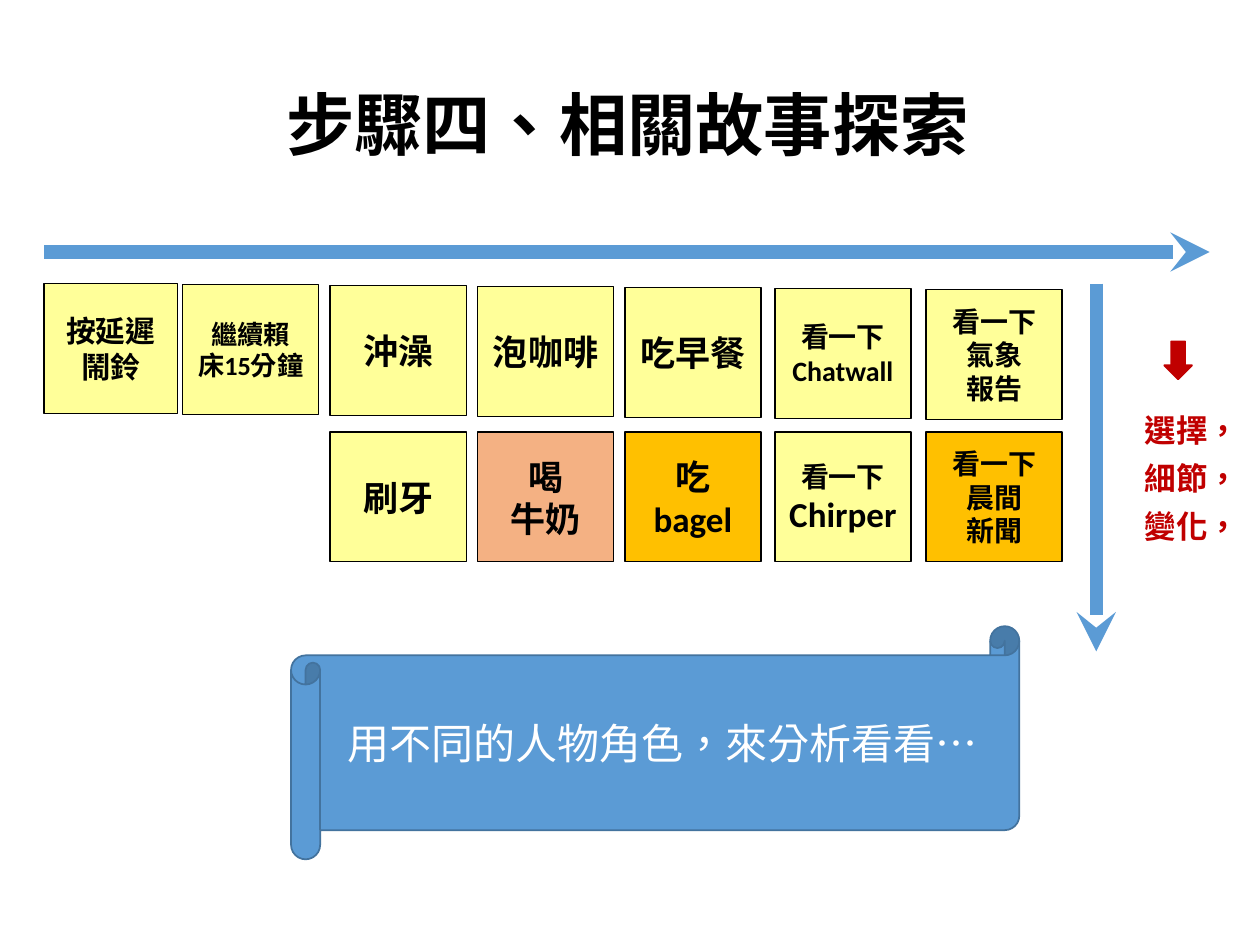
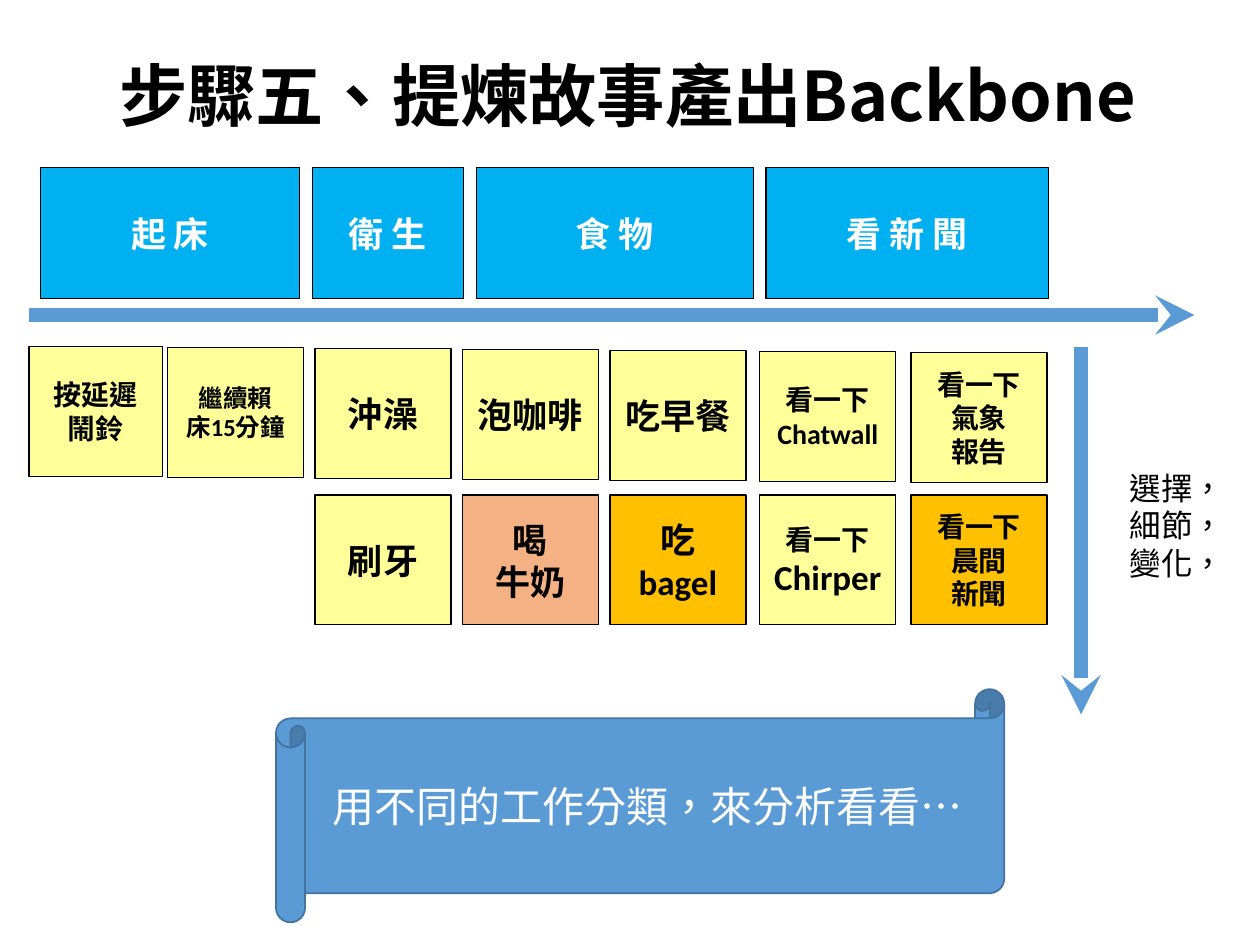
import pptx
import pptx.dml.color
import pptx.enum.lang
import pptx.enum.shapes
import pptx.enum.text
import pptx.oxml.ns
import pptx.util
from lxml import etree

SHAPE = pptx.enum.shapes.MSO_SHAPE
ANCHOR = pptx.enum.text.MSO_ANCHOR
CENTER = pptx.enum.text.PP_ALIGN.CENTER
TAIWAN = pptx.enum.lang.MSO_LANGUAGE_ID.TRADITIONAL_CHINESE

COLORS = {
    "ink": "000000",
    "white": "FFFFFF",
    "note": "FFFF99",
    "orange": "FFC000",
    "salmon": "F4B183",
    "category": "00B0F0",
    "blue": "5B9BD5",
    "blue edge": "43739E",
    "red": "C00000",
}
LATIN, CHINESE = "Calibri", "Noto Sans CJK SC"

# The slide is a grid of 100 columns by 75 rows; all lengths below count them.
COLUMNS, ROWS = 100, 75
CELL = pptx.util.Inches(0.1)

NOTE_LEFTS = [0, 11, 22.7, 34.4, 46.1, 58, 70]
NOTE_HEIGHT = 10.3
FIRST_ROW, SECOND_ROW = 2.5, 14.3
ROW_DRIFT = 0.08  # each note of the first row hangs a little lower

# Lines are split at line ends, and "|" parts pieces that differ in size.
FIRST_NOTES = [
    ("沖澡", [20]),
    ("泡咖啡", [20]),
    ("吃早餐", [20]),
    ("看一下Chatwall", [16]),
    ("看一下氣象\n報告", [16]),
]
SECOND_NOTES = [
    ("刷牙", [20], "note"),
    ("喝\n牛奶", [20], "salmon"),
    ("吃 bagel", [20], "orange"),
    ("看一下|Chirper", [16, 20], "note"),
    ("看一下\n晨間\n新聞", [16], "orange"),
]
CATEGORIES = [("起 床", 20.6), ("衛 生", 12), ("食 物", 22), ("看 新 聞", 22.4)]
ASPECTS = "選擇，\n細節，\n變化，"


def rgb(name):
    return pptx.dml.color.RGBColor.from_string(COLORS[name])


def cells(*counts):
    return [round(count * CELL) for count in counts]


def write(frame, text, sizes, color="ink", bold=True, face=LATIN, gap=0):
    """Fill a text frame with centred lines; gap is the space between them."""
    for index, line in enumerate(text.split("\n")):
        para = frame.paragraphs[0] if index == 0 else frame.add_paragraph()
        para.alignment = CENTER
        if index and gap:
            para.space_before = pptx.util.Pt(gap)
        if face == CHINESE:
            para.line_spacing = pptx.util.Pt(1.2 * sizes[0])
        for piece, size in zip(line.split("|"), sizes):
            span = para.add_run()
            span.text = piece
            style = {"size": pptx.util.Pt(size), "bold": bold,
                     "name": face, "language_id": TAIWAN}
            for key, value in style.items():
                setattr(span.font, key, value)
            span.font.color.rgb = rgb(color)
            if face == CHINESE:
                east = etree.SubElement(span.font._element, pptx.oxml.ns.qn("a:ea"))
                east.set("typeface", face)


def add_panel(page, kind, box, fill, edge, weight):
    panel = page.shapes.add_shape(kind, *cells(*box))
    panel.shadow.inherit = False
    panel.fill.solid()
    panel.fill.fore_color.rgb = rgb(fill)
    panel.line.color.rgb = rgb(edge)
    panel.line.width = pptx.util.Pt(weight)
    panel.text_frame.word_wrap = True
    panel.text_frame.vertical_anchor = ANCHOR.MIDDLE
    return panel


def add_card(page, box, fill, text, sizes, **style):
    card = add_panel(page, SHAPE.RECTANGLE, box, fill, "ink", 0.75)
    write(card.text_frame, text, sizes, **style)


def add_arrow(page, *ends):
    arrow = page.shapes.add_connector(
        pptx.enum.shapes.MSO_CONNECTOR.STRAIGHT, *cells(*ends))
    arrow.line.color.rgb = rgb("blue")
    arrow.line.width = pptx.util.Pt(7.5)
    head = etree.SubElement(arrow.line._get_or_add_ln(), pptx.oxml.ns.qn("a:tailEnd"))
    head.set("type", "stealth")
    etree.SubElement(arrow._element.spPr, pptx.oxml.ns.qn("a:effectLst"))


def add_title(page, text, bottom):
    title = page.shapes.add_textbox(*cells(4.8, 0, 90, bottom))
    title.text_frame.word_wrap = True
    title.text_frame.vertical_anchor = ANCHOR.BOTTOM
    write(title.text_frame, text, [39], face=CHINESE)


def add_axes(page, left, top):
    add_arrow(page, left, top, left + 92.5, top)
    add_arrow(page, left + 83.5, top + 2.5, left + 83.5, top + 31.7)


def add_notes(page, left, top, snooze_style, nap_size):
    """Place the two rows of notes under the time axis."""
    snooze = {"text": "按延遲鬧鈴", **snooze_style}
    nap = {"text": "繼續賴\n床15分鐘", "sizes": [nap_size]}
    others = [{"text": text, "sizes": sizes} for text, sizes in FIRST_NOTES]
    for column, note in enumerate([snooze, nap, *others]):
        box = (left + NOTE_LEFTS[column], top + FIRST_ROW + ROW_DRIFT * column,
               10.8 if column else 10.6, NOTE_HEIGHT)
        add_card(page, box, "note", **note)
    for offset, (text, sizes, fill) in zip(NOTE_LEFTS[2:], SECOND_NOTES):
        box = (left + offset, top + SECOND_ROW, 10.8, NOTE_HEIGHT)
        add_card(page, box, fill, text, sizes)


def add_categories(page, left, top):
    """Place the backbone cards above the time axis."""
    left += 0.9
    for name, width in CATEGORIES:
        add_card(page, (left, top - 11.7, width, 10.4), "category", name, [20],
                 color="white")
        left += width + 1


def add_scroll(page, left, top, text):
    scroll = add_panel(page, SHAPE.HORIZONTAL_SCROLL,
                       (left + 19.6, top + 29.7, 57.8, 18.5), "blue", "blue edge", 1)
    write(scroll.text_frame, text, [24], color="white", bold=False, face=CHINESE)


def add_aspects(page, left, top, height, **style):
    aspects = page.shapes.add_textbox(*cells(left + 86.3, top, 9.6, height))
    aspects.text_frame.word_wrap = False
    aspects.text_frame.auto_size = pptx.enum.text.MSO_AUTO_SIZE.SHAPE_TO_FIT_TEXT
    write(aspects.text_frame, ASPECTS, [18], face=CHINESE, **style)


def explore_page(page, left, top):
    add_title(page, "步驟四、相關故事探索", 13.5)
    add_axes(page, left, top)
    add_notes(page, left, top, {"sizes": [17], "face": CHINESE}, 15)
    add_scroll(page, left, top, "用不同的人物角色，來分析看看…")
    add_aspects(page, left, top + 12.1, 14.8, color="red", gap=6)
    add_panel(page, SHAPE.DOWN_ARROW, (left + 88.9, top + 7.1, 2.2, 3), "red", "red", 1)


def backbone_page(page, left, top):
    add_title(page, "步驟五、提煉故事產出Backbone", 11.2)
    add_axes(page, left, top)
    add_notes(page, left, top, {"sizes": [16]}, 14)
    add_scroll(page, left, top, "用不同的工作分類，來分析看看…")
    add_aspects(page, left, top + 11.7, 10.1, bold=False)
    add_categories(page, left, top)


def main():
    deck = pptx.Presentation()
    deck.slide_width, deck.slide_height = cells(COLUMNS, ROWS)
    blank = deck.slide_layouts[6]
    explore_page(deck.slides.add_slide(blank), 3.5, 20)
    backbone_page(deck.slides.add_slide(blank), 2.3, 25)
    deck.save("out.pptx")


if __name__ == "__main__":
    main()
